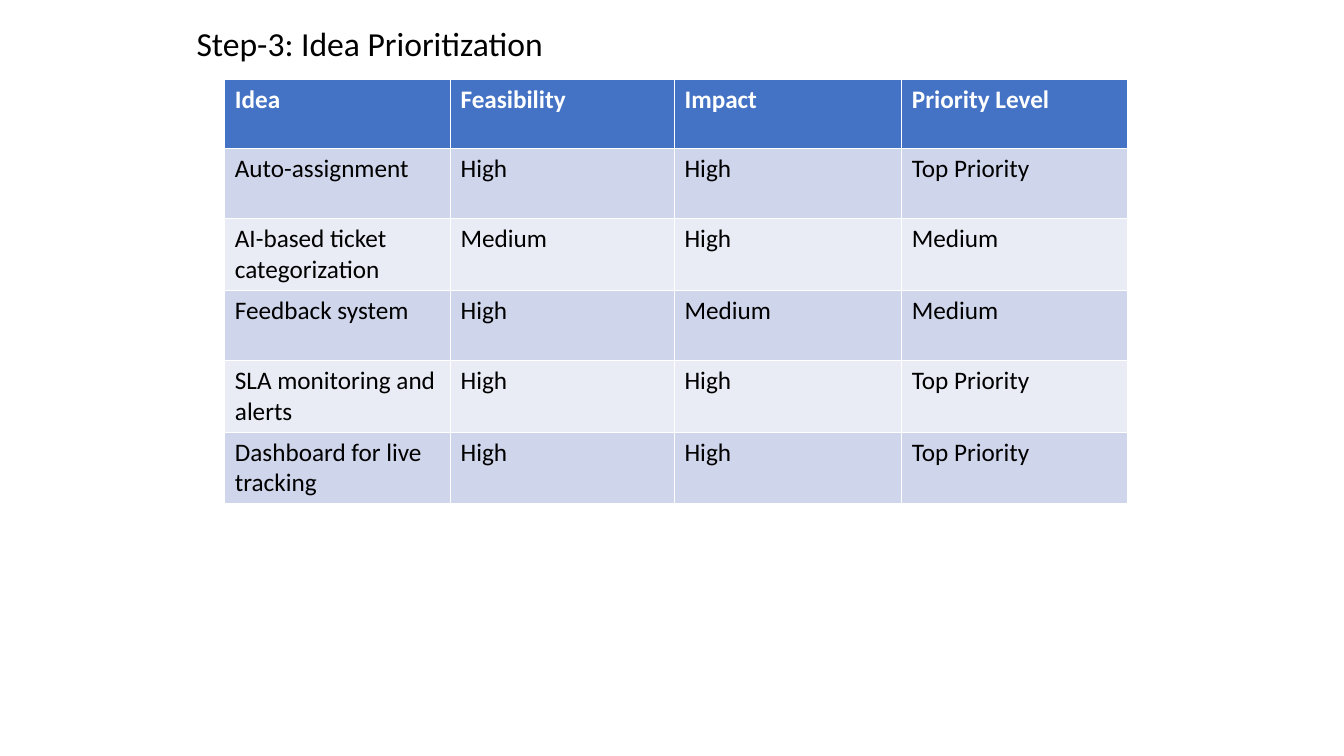
from pptx import Presentation
from pptx.dml.color import RGBColor
from pptx.enum import text
from pptx.util import Pt

TITLE = "Step-3: Idea Prioritization"
ROWS = [
    ("Idea", "Feasibility", "Impact", "Priority Level"),
    ("Auto-assignment", "High", "High", "Top Priority"),
    ("AI-based ticket categorization", "Medium", "High", "Medium"),
    ("Feedback system", "High", "Medium", "Medium"),
    ("SLA monitoring and alerts", "High", "High", "Top Priority"),
    ("Dashboard for live tracking", "High", "High", "Top Priority"),
]
COLORS = {
    "text": "000000",
    "header_text": "FFFFFF",
    "header": "4472C4",
    "odd_row": "CFD5EA",
    "even_row": "E9EBF5",
}
FONT = "Calibri"
COLUMN_WIDTHS = (161.2, 160, 162.4, 161.2)
HEADER_HEIGHT, ROW_HEIGHT = 49, 50.2
TABLE_LEFT, TABLE_TOP = 160.6, 57


def write(tf, content, size=18, color="text", bold=False):
    p = tf.paragraphs[0]
    p.alignment = text.PP_ALIGN.LEFT
    r = p.add_run()
    r.text = content
    r.font.name = FONT
    r.font.size = Pt(size)
    r.font.bold = bold
    r.font.color.rgb = RGBColor.from_string(COLORS[color])


def add_title(slide):
    title = slide.shapes.title
    title.left, title.top, title.width, title.height = Pt(133.2), Pt(12.5), Pt(480), Pt(36)
    tf = title.text_frame
    tf.word_wrap = True
    tf.auto_size = text.MSO_AUTO_SIZE.NONE
    tf.vertical_anchor = text.MSO_ANCHOR.TOP
    write(tf, TITLE, size=24)


def add_priority_table(slide):
    heights = [HEADER_HEIGHT] + [ROW_HEIGHT] * (len(ROWS) - 1)
    table = slide.shapes.add_table(
        len(ROWS), len(COLUMN_WIDTHS), Pt(TABLE_LEFT), Pt(TABLE_TOP),
        Pt(sum(COLUMN_WIDTHS)), Pt(sum(heights))).table
    for column, width in zip(table.columns, COLUMN_WIDTHS):
        column.width = Pt(width)
    for i, (values, height) in enumerate(zip(ROWS, heights)):
        table.rows[i].height = Pt(height)
        is_header = i == 0
        fill = "header" if is_header else "odd_row" if i % 2 else "even_row"
        for cell, value in zip(table.rows[i].cells, values):
            cell.fill.solid()
            cell.fill.fore_color.rgb = RGBColor.from_string(COLORS[fill])
            write(cell.text_frame, value, bold=is_header,
                  color="header_text" if is_header else "text")


def main():
    prs = Presentation()
    prs.slide_width, prs.slide_height = Pt(960), Pt(540)
    slide = prs.slides.add_slide(prs.slide_layouts[5])
    add_title(slide)
    add_priority_table(slide)
    prs.save("out.pptx")


if __name__ == "__main__":
    main()
